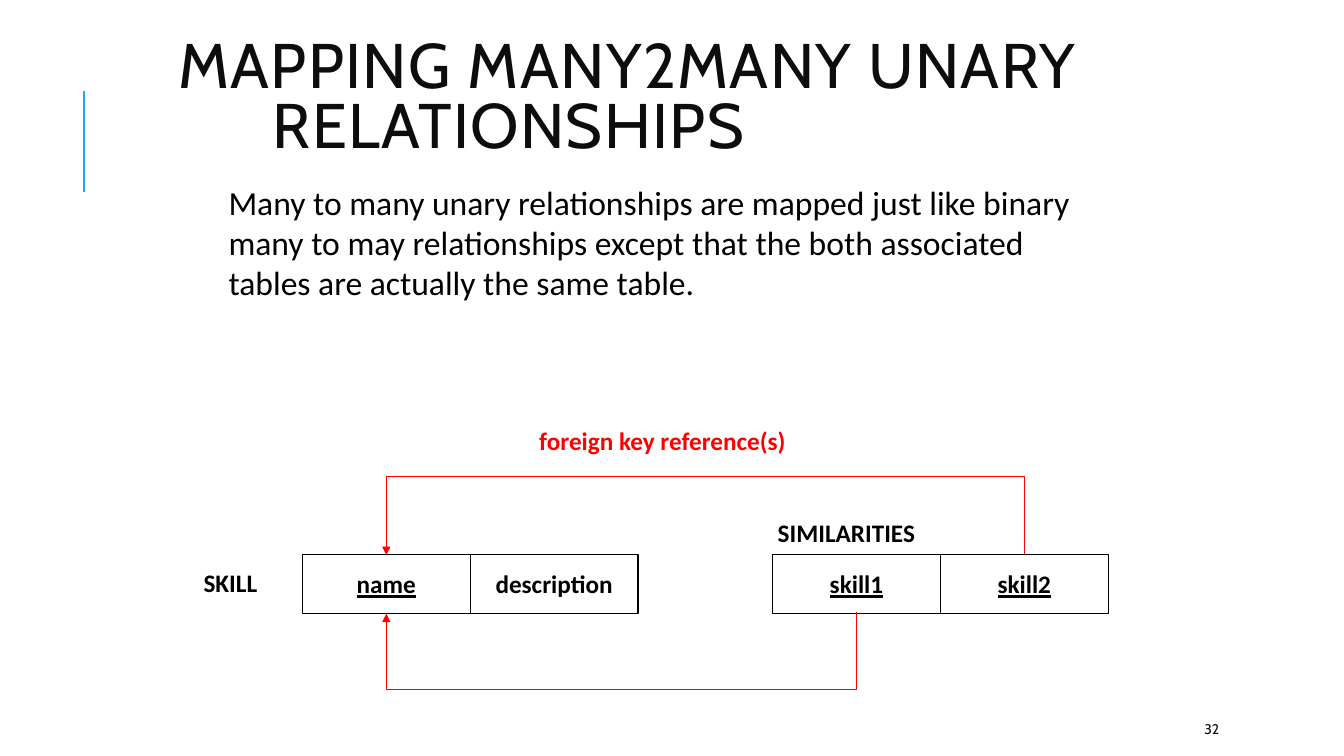
from pptx import Presentation
from pptx.dml.color import RGBColor
from pptx.enum.shapes import MSO_CONNECTOR as Connector, MSO_SHAPE as Shape
from pptx.enum.text import MSO_ANCHOR as Anchor, PP_ALIGN as Align
from pptx.oxml.ns import qn
from pptx.util import Cm, Pt
from lxml.etree import SubElement

BLACK = RGBColor(0x00, 0x00, 0x00)
INK = RGBColor(0x0D, 0x0D, 0x0D)
RED = RGBColor(0xFF, 0x00, 0x00)
ACCENT = RGBColor(0x1C, 0xAD, 0xE4)

CELL_WIDTH, CELL_HEIGHT, CELL_TOP = 4.23, 1.48, 13.97
SKILL_LEFT, SIMILARITIES_LEFT = 7.62, 19.47
LINK_DEPTH = 1.95


def write(shape, text, size, color=BLACK, font="Calibri", bold=None, wrap=True):
    """Put one paragraph in a shape and return it."""
    shape.text_frame.word_wrap = wrap
    paragraph = shape.text_frame.paragraphs[0]
    paragraph.text = text
    paragraph.font.size = Pt(size)
    paragraph.font.name = font
    paragraph.font.bold = bold
    paragraph.font.color.rgb = color
    return paragraph


def add_text(slide, left, top, width, height, text, size, **style):
    box = slide.shapes.add_textbox(Cm(left), Cm(top), Cm(width), Cm(height))
    return box, write(box, text, size, **style)


def add_title(slide, text):
    box, paragraph = add_text(slide, 4.24, 1.65, 27.38, 1.75, text, 45,
                              color=INK, font="Cabin")
    box.text_frame.vertical_anchor = Anchor.MIDDLE
    paragraph.line_spacing = 0.8
    # Hanging indent and letter spacing
    properties = paragraph._p.get_or_add_pPr()
    properties.set("marL", str(Cm(2.39)))
    properties.set("indent", str(-Cm(2.39)))
    paragraph.runs[0].font._element.set("spc", "100")


def add_label(slide, left, top, width, text, color=BLACK):
    add_text(slide, left, top, width, 1.02, text, 18,
             color=color, bold=True, wrap=False)


def add_relation(slide, left, columns):
    """Draw a row of column cells; key columns are underlined."""
    for index, (name, is_key) in enumerate(columns):
        cell = slide.shapes.add_shape(
            Shape.RECTANGLE, Cm(left + index * CELL_WIDTH), Cm(CELL_TOP),
            Cm(CELL_WIDTH), Cm(CELL_HEIGHT))
        cell.shadow.inherit = False
        cell.fill.background()
        cell.line.color.rgb = BLACK
        cell.line.width = Pt(0.75)
        cell.text_frame.vertical_anchor = Anchor.MIDDLE
        paragraph = write(cell, name, 18, bold=True, wrap=False)
        paragraph.alignment = Align.CENTER
        paragraph.font.underline = is_key


def add_line(slide, kind, start, end, color, width):
    line = slide.shapes.add_connector(kind, *map(Cm, start + end))
    line.line.color.rgb = color
    line.line.width = Pt(width)
    SubElement(line._element.spPr, qn("a:effectLst"))
    return line


def add_reference(slide, start_x, end_x, y, depth):
    """Draw a U-shaped arrow leftwards; a negative depth bends upwards."""
    thickness, span = 0.03, start_x - end_x
    middle = (start_x + end_x) / 2
    left, top = middle - thickness / 2, y - span / 2
    link = add_line(slide, Connector.ELBOW, (left, top),
                    (left + thickness, top + span), RED, 0.75)
    # A quarter turn makes the connector leave its cell vertically
    properties = link._element.spPr
    properties.find(qn("a:xfrm")).set("rot", "5400000")
    adjustments = properties.find(qn("a:prstGeom")).find(qn("a:avLst"))
    bend = round(depth / thickness * 100000)
    SubElement(adjustments, qn("a:gd"), name="adj1", fmla=f"val {bend}")
    SubElement(properties.find(qn("a:ln")), qn("a:tailEnd"), type="triangle")


def main():
    presentation = Presentation()
    presentation.slide_width, presentation.slide_height = Cm(33.87), Cm(19.05)
    slide = presentation.slides.add_slide(presentation.slide_layouts[6])

    # Heading, explanation and page number
    add_line(slide, Connector.STRAIGHT, (2.12, 4.83), (2.12, 2.29), ACCENT, 1.5)
    add_title(slide, "MAPPING MANY2MANY UNARY RELATIONSHIPS")
    add_text(slide, 5.51, 4.45, 22.28, 3.33,
             "Many to many unary relationships are mapped just like binary "
             "many to may relationships except that the both associated "
             "tables are actually the same table.", 24)
    number, _ = add_text(slide, 30.1, 17.98, 2.69, 0.76, "32", 10,
                         color=INK, font="Cabin")
    number.text_frame.vertical_anchor = Anchor.MIDDLE

    # Relations
    add_relation(slide, SKILL_LEFT, [("name", True), ("description", False)])
    add_label(slide, 4.88, 14.17, 2.34, "SKILL")
    add_relation(slide, SIMILARITIES_LEFT, [("skill1", True), ("skill2", True)])
    add_label(slide, 19.35, 12.9, 5, "SIMILARITIES")

    # Foreign keys, from the middle of each skill cell to the name cell
    name_x = SKILL_LEFT + CELL_WIDTH / 2
    skill1_x = SIMILARITIES_LEFT + CELL_WIDTH / 2
    add_label(slide, 13.34, 10.59, 6.93, "foreign key reference(s)", RED)
    add_reference(slide, skill1_x, name_x, CELL_TOP + CELL_HEIGHT, LINK_DEPTH)
    add_reference(slide, skill1_x + CELL_WIDTH, name_x, CELL_TOP, -LINK_DEPTH)

    presentation.save("out.pptx")


if __name__ == "__main__":
    main()
